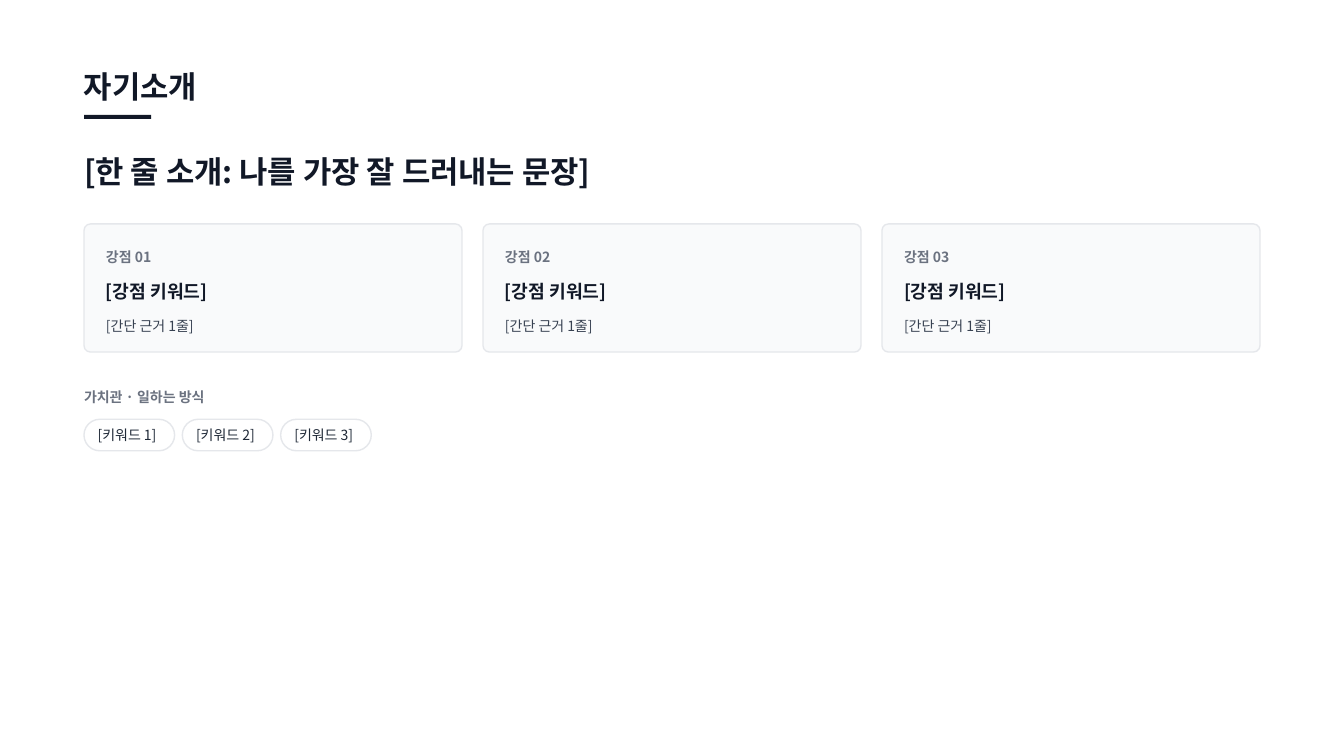
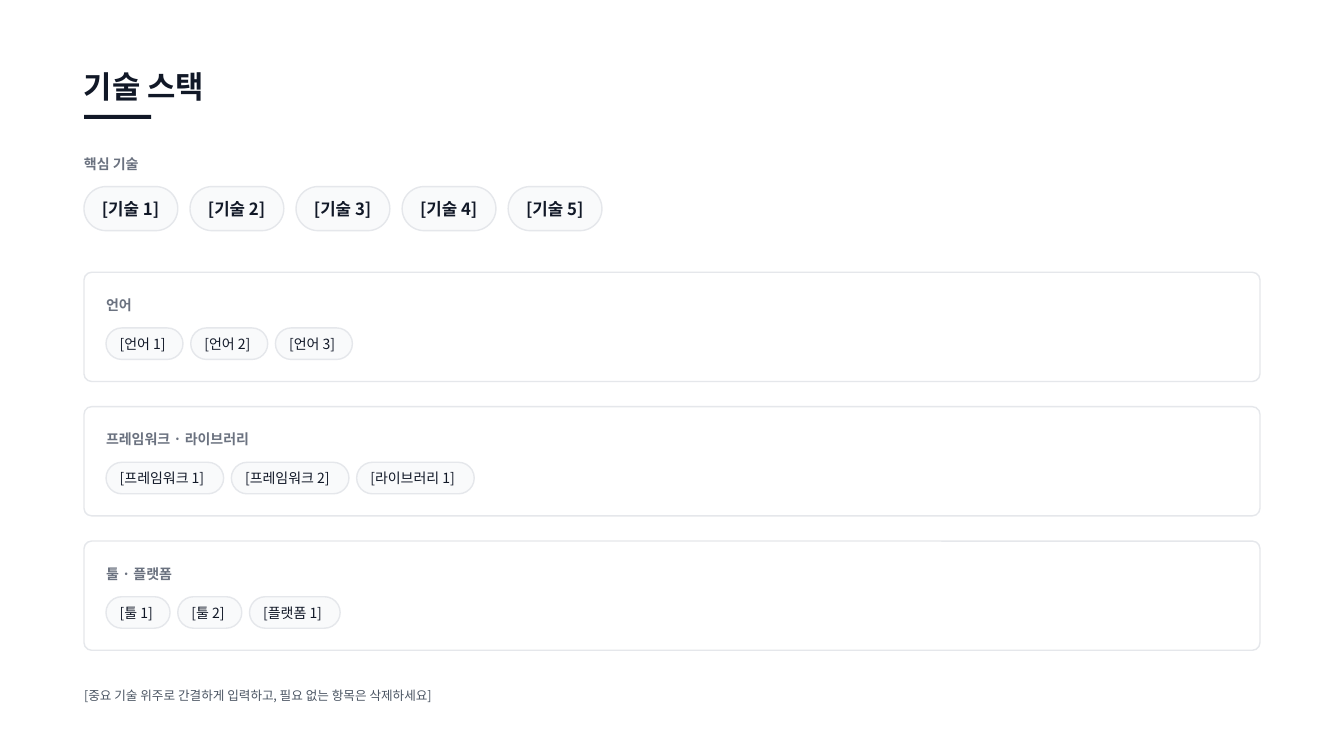
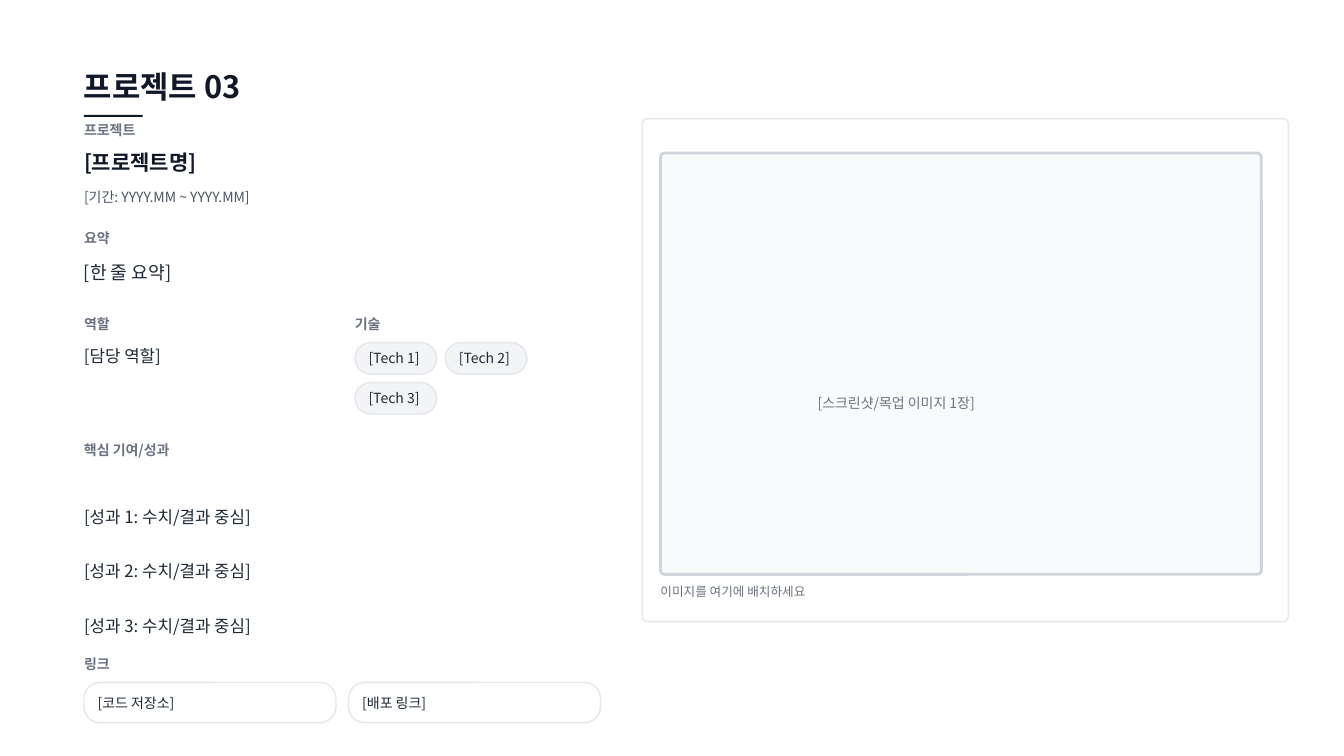
"""Build three portfolio template pages: introduction, tech stack and project."""
import pptx
import pptx.dml.color
import pptx.enum.shapes
import pptx.enum.text
import pptx.oxml.ns
import pptx.util
from lxml import etree

Pt = pptx.util.Pt
RGB = pptx.dml.color.RGBColor
SHAPES = pptx.enum.shapes.MSO_SHAPE

INK = RGB(0x11, 0x18, 0x27)
BODY = RGB(0x1F, 0x29, 0x37)
DETAIL = RGB(0x37, 0x41, 0x51)
NOTE = RGB(0x4B, 0x55, 0x63)
MUTED = RGB(0x6B, 0x72, 0x80)
FRAME = RGB(0xD1, 0xD5, 0xDB)
BORDER = RGB(0xE5, 0xE7, 0xEB)
TAG = RGB(0xF3, 0xF4, 0xF6)
PALE = RGB(0xF9, 0xFA, 0xFB)
WHITE = RGB(0xFF, 0xFF, 0xFF)

FONT = "Noto Sans CJK KR"
LEFT = 60
PADDING = 15.75
PILL_HEIGHT = 22.5
PILL_GAP = 5.5
PILL_INDENT = 9.75

STYLES = {
    "title": ({"size": Pt(22), "bold": True}, INK),
    "project": ({"size": Pt(15), "bold": True}, INK),
    "keyword": ({"size": Pt(13), "bold": True}, INK),
    "skill": ({"size": Pt(12), "bold": True}, INK),
    "label": ({"size": Pt(10), "bold": True}, MUTED),
    "summary": ({"size": Pt(13)}, BODY),
    "body": ({"size": Pt(12)}, BODY),
    "chip": ({"size": Pt(10)}, BODY),
    "dark chip": ({"size": Pt(10)}, INK),
    "detail": ({"size": Pt(10)}, DETAIL),
    "period": ({"size": Pt(10)}, NOTE),
    "hint": ({"size": Pt(9)}, NOTE),
    "placeholder": ({"size": Pt(10)}, MUTED),
    "caption": ({"size": Pt(9)}, MUTED),
}


def write(box, text, style, indent=0):
    """Fill a box with one left-aligned, vertically centred line."""
    frame = box.text_frame
    settings = {
        "word_wrap": True,
        "vertical_anchor": pptx.enum.text.MSO_ANCHOR.MIDDLE,
        "margin_left": Pt(indent),
        "margin_top": 0,
        "margin_right": 0,
        "margin_bottom": 0,
    }
    for name, value in settings.items():
        setattr(frame, name, value)
    para = frame.paragraphs[0]
    para.alignment = pptx.enum.text.PP_ALIGN.LEFT
    span = para.add_run()
    span.text = text
    formats, color = STYLES[style]
    for name, value in {"name": FONT, **formats}.items():
        setattr(span.font, name, value)
    span.font.color.rgb = color
    east_asian = etree.SubElement(span._r.get_or_add_rPr(), pptx.oxml.ns.qn("a:ea"))
    east_asian.set("typeface", FONT)


def add_panel(page, area, radius, fill, text=None, style="chip", indent=PILL_INDENT,
              line=BORDER, weight=1):
    """Add a rounded outline, with its text if any."""
    panel = page.shapes.add_shape(SHAPES.ROUNDED_RECTANGLE, *map(Pt, area))
    panel.shadow.inherit = False
    panel.adjustments[0] = radius
    if fill is None:
        panel.fill.background()
    else:
        panel.fill.solid()
        panel.fill.fore_color.rgb = fill
    panel.line.color.rgb = line
    panel.line.width = Pt(weight)
    if text:
        corner_inset = 0.29 * radius * area[3]
        write(panel, text, style, indent - corner_inset)


deck = pptx.Presentation()
deck.slide_width = Pt(960)
deck.slide_height = Pt(540)

for title, rule_width, rule_height in [
    ("자기소개", 48, 3),
    ("기술 스택", 48, 3),
    ("프로젝트 03", 42, 1.5),
]:
    page = deck.slides.add_slide(deck.slide_layouts[6])
    page.background.fill.solid()
    page.background.fill.fore_color.rgb = WHITE
    write(page.shapes.add_textbox(Pt(LEFT), Pt(45), Pt(130), Pt(33)), title, "title")
    rule = page.shapes.add_shape(
        SHAPES.RECTANGLE, Pt(LEFT), Pt(82), Pt(rule_width), Pt(rule_height))
    rule.shadow.inherit = False
    rule.fill.solid()
    rule.fill.fore_color.rgb = INK
    rule.line.fill.background()

intro, stack, project = deck.slides

texts = [
    (intro, LEFT, 106, 827, 33, "[한 줄 소개: 나를 가장 잘 드러내는 문장]", "title"),
    (intro, LEFT, 275.75, 98, 15, "가치관 · 일하는 방식", "label"),
    (stack, LEFT, 109.25, 50, 15, "핵심 기술", "label"),
    (stack, LEFT, 488.25, 358, 16.5,
     "[중요 기술 위주로 간결하게 입력하고, 필요 없는 항목은 삭제하세요]", "hint"),
    (project, LEFT, 85, 49, 15, "프로젝트", "label"),
    (project, LEFT, 105.25, 383, 21.5, "[프로젝트명]", "project"),
    (project, LEFT, 129.75, 383, 22.5, "[기간: YYYY.MM ~ YYYY.MM]", "period"),
    (project, LEFT, 162.75, 29, 15, "요약", "label"),
    (project, LEFT, 184.5, 376, 19.5, "[한 줄 요약]", "summary"),
    (project, LEFT, 224, 29, 15, "역할", "label"),
    (project, LEFT, 244.75, 180, 18.75, "[담당 역할]", "body"),
    (project, 253.5, 224, 29, 15, "기술", "label"),
    (project, LEFT, 314, 78, 15, "핵심 기여/성과", "label"),
    (project, LEFT, 466.5, 29, 15, "링크", "label"),
]

for index in range(3):
    card_left = LEFT + 285 * index
    add_panel(intro, (card_left, 160, 270, 91.5), 0.05, PALE)
    inner = card_left + PADDING
    texts += [
        (intro, inner, 175.75, 42, 15, f"강점 {index + 1:02}", "label"),
        (intro, inner, 198, 241, 19.5, "[강점 키워드]", "keyword"),
        (intro, inner, 221, 241, 24, "[간단 근거 1줄]", "detail"),
    ]
    add_panel(intro, (LEFT + 70.25 * index, 299.5, 64.75, PILL_HEIGHT), 0.5, WHITE,
              f"[키워드 {index + 1}]")
    texts.append((project, LEFT, 352.75 + 39 * index, 383, 32.5,
                  f"[성과 {index + 1}: 수치/결과 중심]", "body"))
    row, column = divmod(index, 2)
    add_panel(project, (253.5 + 64.5 * column, 244.75 + 28.5 * row, 58.5, PILL_HEIGHT),
              0.5, TAG, f"[Tech {index + 1}]")

for index in range(5):
    add_panel(stack, (LEFT + 75.75 * index, 133.25, 67, 31.5), 0.5, PALE,
              f"[기술 {index + 1}]", "skill", 12.75)

groups = [
    ("언어", [("[언어 1]", 55), ("[언어 2]", 55), ("[언어 3]", 55)]),
    ("프레임워크 · 라이브러리",
     [("[프레임워크 1]", 84), ("[프레임워크 2]", 84), ("[라이브러리 1]", 84)]),
    ("툴 · 플랫폼", [("[툴 1]", 45.75), ("[툴 2]", 45.75), ("[플랫폼 1]", 64.75)]),
]
for index, (heading, chips) in enumerate(groups):
    top = 194.5 + 96 * index
    add_panel(stack, (LEFT, top, 840, 78), 0.07, WHITE)
    pill_left = LEFT + PADDING
    texts.append((stack, pill_left, top + PADDING, 115, 15, heading, "label"))
    for name, width in chips:
        add_panel(stack, (pill_left, top + 39.75, width, PILL_HEIGHT), 0.5, PALE,
                  name, "dark chip")
        pill_left += width + PILL_GAP

for index, name in enumerate(["[코드 저장소]", "[배포 링크]"]):
    add_panel(project, (LEFT + 189 * index, 487.5, 180, 28.75), 0.4, None, name)

add_panel(project, (458.75, 84.75, 461.5, 359.25), 0.01, WHITE)
add_panel(project, (471.75, 109.25, 429.25, 301), 0.01, PALE, line=FRAME, weight=2)
texts += [
    (project, 584, 278.75, 160, 18.75, "[스크린샷/목업 이미지 1장]", "placeholder"),
    (project, 471.75, 414.75, 140, 15.75, "이미지를 여기에 배치하세요", "caption"),
]

for page, left, top, width, height, text, style in texts:
    box = page.shapes.add_textbox(Pt(left), Pt(top), Pt(width), Pt(height))
    write(box, text, style)

deck.save("out.pptx")
